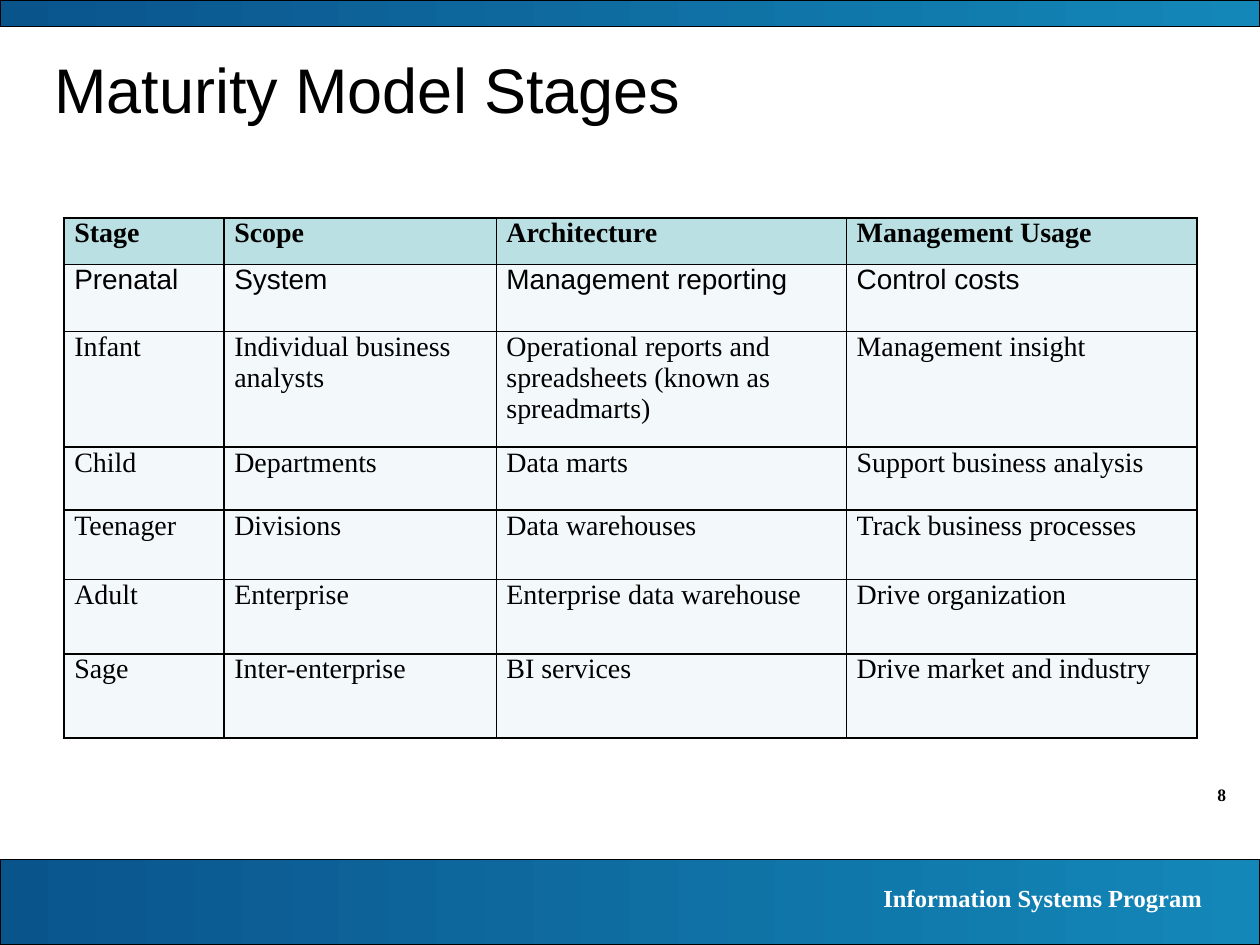
from lxml.etree import SubElement
from pptx import Presentation
from pptx.dml.color import RGBColor as RGB
from pptx.enum.shapes import MSO_SHAPE as SHAPE
from pptx.enum.text import MSO_ANCHOR as ANCHOR, PP_ALIGN as ALIGN
from pptx.oxml.ns import qn
from pptx.util import Inches, Pt

WIDTH, HEIGHT = 10, 7.5
SERIF, SANS = "Times New Roman", "Arial"
COLORS = {
    "ink": "000000",
    "white": "FFFFFF",
    "band_start": "0A548C",
    "band_end": "1387B8",
    "header": "BBE0E3",
    "body": "F3F9FA",
}
COLUMNS = [1.27, 2.16, 2.78, 2.78]
ROWS = [0.37, 0.53, 0.92, 0.5, 0.55, 0.59, 0.67]
STAGES = [
    ["Stage", "Scope", "Architecture", "Management Usage"],
    ["Prenatal", "System", "Management reporting", "Control costs"],
    ["Infant", "Individual business analysts",
     "Operational reports and spreadsheets (known as spreadmarts)",
     "Management insight"],
    ["Child", "Departments", "Data marts", "Support business analysis"],
    ["Teenager", "Divisions", "Data warehouses", "Track business processes"],
    ["Adult", "Enterprise", "Enterprise data warehouse", "Drive organization"],
    ["Sage", "Inter-enterprise", "BI services", "Drive market and industry"],
]


def color(name):
    return RGB.from_string(COLORS[name])


def box(left, top, width, height):
    return [Inches(v) for v in (left, top, width, height)]


def add_run(p, text, size, font, ink="ink", bold=False):
    r = p.add_run()
    r.text = text
    r.font.size = Pt(size)
    r.font.name = font
    r.font.bold = bold
    r.font.color.rgb = color(ink)


def add_band(s, top, height):
    sp = s.shapes.add_shape(SHAPE.RECTANGLE, *box(0, top, WIDTH, height))
    sp.shadow.inherit = False
    sp.fill.gradient()
    sp.fill.gradient_angle = 0
    for stop, name in zip(sp.fill.gradient_stops, ("band_start", "band_end")):
        stop.color.rgb = color(name)
    sp.line.color.rgb = color("ink")
    sp.line.width = Pt(0.75)


def add_label(s, place, text, size, ink):
    tf = s.shapes.add_textbox(*box(*place)).text_frame
    tf.word_wrap = True
    p = tf.paragraphs[0]
    p.alignment = ALIGN.RIGHT
    add_run(p, text, size, SERIF, ink, bold=True)


def set_title(s, text):
    sp = s.shapes.title
    sp.left, sp.top, sp.width, sp.height = box(0.33, 0.33, 9.17, 0.75)
    tf = sp.text_frame
    tf.vertical_anchor = ANCHOR.MIDDLE
    p = tf.paragraphs[0]
    p.alignment = ALIGN.LEFT
    add_run(p, text, 36, SANS)


def set_borders(cell):
    tc_pr = cell._tc.get_or_add_tcPr()
    for i, side in enumerate(("lnL", "lnR", "lnT", "lnB")):
        ln = SubElement(tc_pr, qn(f"a:{side}"), w=str(Pt(1)))
        fill = SubElement(ln, qn("a:solidFill"))
        SubElement(fill, qn("a:srgbClr"), val=COLORS["ink"])
        tc_pr.insert(i, ln)


def fill_cell(cell, text, font, fill, bold):
    cell.margin_left = cell.margin_right = Inches(0.08)
    cell.margin_top = cell.margin_bottom = 0
    cell.fill.solid()
    cell.fill.fore_color.rgb = color(fill)
    set_borders(cell)
    add_run(cell.text_frame.paragraphs[0], text, 16, font, bold=bold)


def add_stage_table(s):
    place = box(0.51, 1.73, sum(COLUMNS), sum(ROWS))
    table = s.shapes.add_table(len(ROWS), len(COLUMNS), *place).table
    for column, width in zip(table.columns, COLUMNS):
        column.width = Inches(width)
    for i, (height, texts) in enumerate(zip(ROWS, STAGES)):
        table.rows[i].height = Inches(height)
        font = SANS if i == 1 else SERIF
        fill = "body" if i else "header"
        for j, text in enumerate(texts):
            fill_cell(table.cell(i, j), text, font, fill, bold=i == 0)


def main():
    prs = Presentation()
    prs.slide_width, prs.slide_height = Inches(WIDTH), Inches(HEIGHT)
    s = prs.slides.add_slide(prs.slide_layouts.get_by_name("Title Only"))
    add_label(s, (9, 6.17, 0.83, 0.27), "8", 10, "ink")
    add_band(s, HEIGHT - 0.68, 0.68)
    add_band(s, 0, 0.21)
    add_label(s, (5.55, 6.96, 4.09, 0.34), "Information Systems Program", 14, "white")
    set_title(s, "Maturity Model Stages")
    add_stage_table(s)
    prs.save("out.pptx")


if __name__ == "__main__":
    main()
